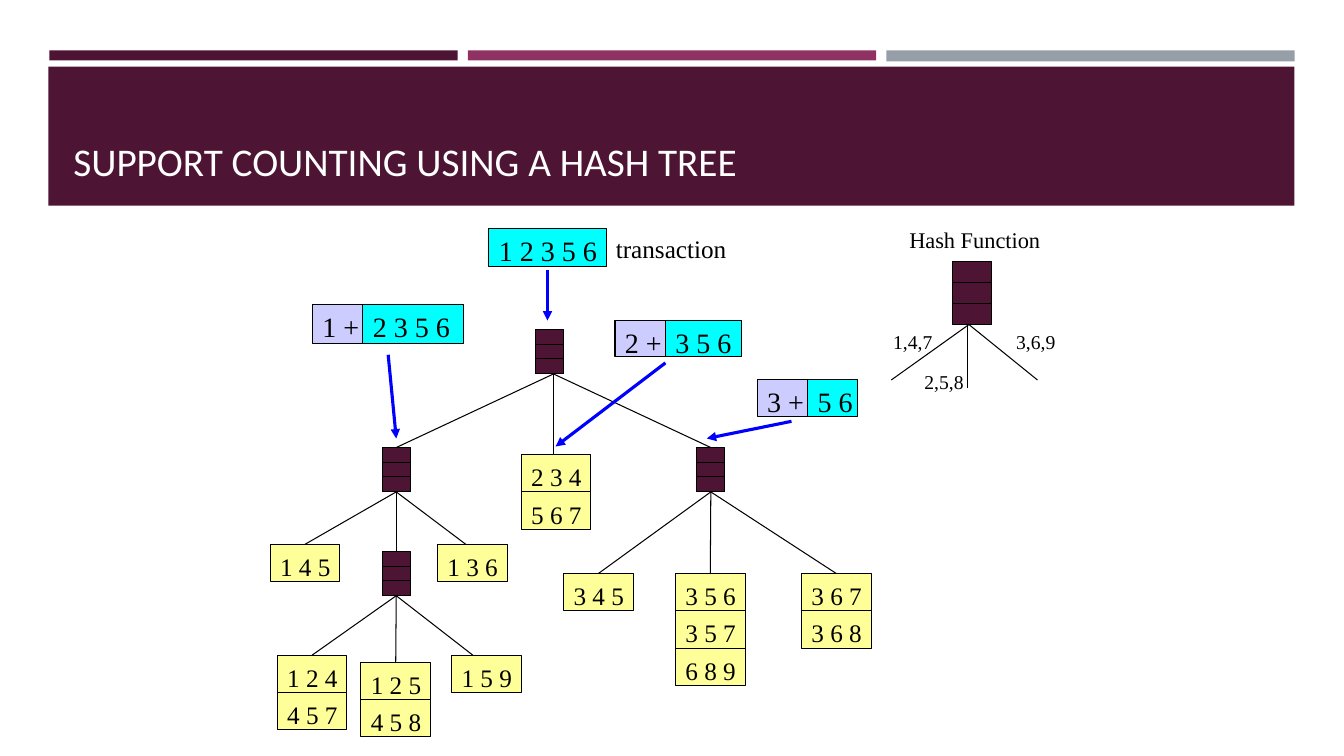
from dataclasses import dataclass

import lxml.etree
import pptx
import pptx.dml.color
import pptx.enum.shapes
import pptx.enum.text
import pptx.oxml.ns
import pptx.util

PX = 9144  # EMU per px, 100 px to the inch
JOIN_REACH = 2  # a line end this close to a side's middle is joined to it
TOP, BOTTOM = 0, 2


@dataclass(frozen=True)
class Theme:
    plum: str = "4D1434"
    berry: str = "903163"
    steel: str = "969FA7"
    white: str = "FFFFFF"
    black: str = "000000"
    blue: str = "0000FF"
    cyan: str = "00FFFF"
    lilac: str = "CCCCFF"
    yellow: str = "FFFF99"
    heading_font: str = "Calibri"
    body_font: str = "Times New Roman"
    heading: int = 28
    transaction: int = 20
    itemset: int = 18
    caption: int = 16
    branch: int = 14
    thin: float = 0.75
    thick: float = 2.25


@dataclass(frozen=True)
class Box:
    x: int
    y: int
    width: int
    height: int


@dataclass(frozen=True)
class Leaf:
    x: int
    y: int
    itemsets: tuple[str, ...]


@dataclass(frozen=True)
class Line:
    x1: int
    y1: int
    x2: int
    y2: int


@dataclass(frozen=True)
class Edge:
    parent: str
    child: str
    line: Line


@dataclass(frozen=True)
class Label:
    text: str
    box: Box
    size: int


@dataclass(frozen=True)
class Part:
    text: str
    box: Box
    fill: str
    text_width: int


THEME = Theme()

BANDS = [
    (Box(49, 50, 405, 10), THEME.plum),
    (Box(464, 50, 405, 10), THEME.berry),
    (Box(879, 50, 405, 11), THEME.steel),
    (Box(48, 66, 1236, 138), THEME.plum),
]
NODES = {
    "root": Box(531, 327, 28, 44),
    "left": Box(379, 444, 28, 44),
    "right": Box(691, 444, 28, 44),
    "inner": Box(379, 547, 28, 44),
    "hash": Box(945, 259, 38, 63),
}
LEAVES = [
    Leaf(268, 540, ("1 4 5",)),
    Leaf(434, 540, ("1 3 6",)),
    Leaf(275, 650, ("1 2 4", "4 5 7")),
    Leaf(358, 657, ("1 2 5", "4 5 8")),
    Leaf(448, 650, ("1 5 9",)),
    Leaf(517, 451, ("2 3 4", "5 6 7")),
    Leaf(559, 569, ("3 4 5",)),
    Leaf(670, 569, ("3 5 6", "3 5 7", "6 8 9")),
    Leaf(795, 569, ("3 6 7", "3 6 8")),
]
LEAF_WIDTH, LEAF_HEIGHT = 69, 37
EDGES = [
    Edge("root", "left", Line(549, 371, 393, 444)),
    Edge("root", "2 3 4", Line(549, 371, 549, 451)),
    Edge("root", "right", Line(549, 371, 705, 444)),
    Edge("left", "1 4 5", Line(391, 488, 303, 540)),
    Edge("left", "inner", Line(391, 488, 391, 547)),
    Edge("left", "1 3 6", Line(391, 488, 462, 540)),
    Edge("right", "3 4 5", Line(705, 488, 594, 569)),
    Edge("right", "3 5 6", Line(705, 488, 705, 569)),
    Edge("right", "3 6 7", Line(705, 488, 829, 569)),
    Edge("inner", "1 2 4", Line(393, 591, 310, 650)),
    Edge("inner", "1 2 5", Line(393, 591, 393, 657)),
    Edge("inner", "1 5 9", Line(393, 591, 469, 650)),
]
HASH_BRANCHES = [Line(961, 322, 884, 377), Line(960, 322, 960, 385), Line(961, 322, 1029, 377)]
ARROWS = [
    Line(543, 268, 543, 318),
    Line(385, 352, 393, 435),
    Line(660, 360, 551, 443),
    Line(785, 418, 701, 435),
]
PARTS = [
    Part("1 2 3 5 6", Box(485, 227, 117, 37), THEME.cyan, 117),
    Part("1 +", Box(310, 302, 50, 39), THEME.lilac, 57),
    Part("2 3 5 6", Box(360, 302, 100, 39), THEME.cyan, 96),
    Part("2 +", Box(610, 318, 50, 36), THEME.lilac, 57),
    Part("3 5 6", Box(660, 318, 75, 36), THEME.cyan, 76),
    Part("3 +", Box(751, 377, 50, 36), THEME.lilac, 57),
    Part("5 6", Box(801, 377, 50, 36), THEME.cyan, 55),
]
LABELS = [
    Label("transaction", Box(601, 227, 130, 40), THEME.itemset),
    Label("Hash Function", Box(892, 219, 151, 37), THEME.caption),
    Label("1,4,7", Box(876, 322, 59, 34), THEME.branch),
    Label("2,5,8", Box(907, 362, 59, 34), THEME.branch),
    Label("3,6,9", Box(998, 322, 59, 34), THEME.branch),
]


def color(value: str) -> pptx.dml.color.RGBColor:
    return pptx.dml.color.RGBColor.from_string(value)


def add_box(slide, box: Box, fill: str, outlined: bool = True):
    shape = slide.shapes.add_shape(
        pptx.enum.shapes.MSO_SHAPE.RECTANGLE,
        box.x * PX, box.y * PX, box.width * PX, box.height * PX)
    shape.shadow.inherit = False
    shape.fill.solid()
    shape.fill.fore_color.rgb = color(fill)
    if outlined:
        shape.line.color.rgb = color(THEME.black)
        shape.line.width = pptx.util.Pt(THEME.thin)
    else:
        shape.line.fill.background()
    return shape


def add_text(slide, label: Label, font: str = THEME.body_font, ink: str = THEME.black):
    box = label.box
    shape = slide.shapes.add_textbox(box.x * PX, box.y * PX, box.width * PX, box.height * PX)
    shape.text_frame.word_wrap = False
    shape.text_frame.margin_right = 0  # keeps tight labels on one line
    run = shape.text_frame.paragraphs[0].add_run()
    run.text = label.text
    run.font.name = font
    run.font.size = pptx.util.Pt(label.size)
    run.font.color.rgb = color(ink)
    return shape


def add_line(slide, line: Line, ink: str = THEME.black, width: float = THEME.thin):
    connector = slide.shapes.add_connector(
        pptx.enum.shapes.MSO_CONNECTOR.STRAIGHT,
        line.x1 * PX, line.y1 * PX, line.x2 * PX, line.y2 * PX)
    connector.line.color.rgb = color(ink)
    connector.line.width = pptx.util.Pt(width)
    properties = connector._element.spPr
    lxml.etree.SubElement(properties, pptx.oxml.ns.qn("a:effectLst"))
    return connector


def add_arrow(slide, line: Line) -> None:
    connector = add_line(slide, line, THEME.blue, THEME.thick)
    outline = connector.line._get_or_add_ln()
    lxml.etree.SubElement(outline, pptx.oxml.ns.qn("a:tailEnd"), type="triangle")


def add_node(slide, box: Box):
    shape = add_box(slide, box, THEME.plum)
    for third in (1, 2):
        y = box.y + round(box.height * third / 3)
        add_line(slide, Line(box.x, y, box.x + box.width, y))
    return shape


def add_leaf(slide, leaf: Leaf) -> dict:
    shapes = {}
    for row, itemset in enumerate(leaf.itemsets):
        y = leaf.y + row * LEAF_HEIGHT
        shapes[itemset] = add_box(slide, Box(leaf.x, y, LEAF_WIDTH, LEAF_HEIGHT), THEME.yellow)
        add_text(slide, Label(itemset, Box(leaf.x, y + 2, 70, 40), THEME.itemset))
    return shapes


def is_middle(shape, x: int) -> bool:
    return abs(shape.left + shape.width / 2 - x * PX) <= JOIN_REACH * PX


def add_edge(slide, edge: Edge, shapes: dict) -> None:
    connector = add_line(slide, edge.line)
    if is_middle(shapes[edge.parent], edge.line.x1):
        connector.begin_connect(shapes[edge.parent], BOTTOM)
    if is_middle(shapes[edge.child], edge.line.x2):
        connector.end_connect(shapes[edge.child], TOP)


def main() -> None:
    presentation = pptx.Presentation()
    presentation.slide_width, presentation.slide_height = 1333 * PX, 750 * PX
    slide = presentation.slides.add_slide(presentation.slide_layouts[6])

    # Header
    for box, fill in BANDS:
        add_box(slide, box, fill, outlined=False)
    title = Label("SUPPORT COUNTING USING A HASH TREE", Box(63, 80, 1206, 108), THEME.heading)
    heading = add_text(slide, title, THEME.heading_font, THEME.white)
    heading.text_frame.word_wrap = True
    heading.text_frame.vertical_anchor = pptx.enum.text.MSO_ANCHOR.BOTTOM

    # Hash tree
    shapes = {name: add_node(slide, box) for name, box in NODES.items()}
    for leaf in LEAVES:
        shapes.update(add_leaf(slide, leaf))
    for edge in EDGES:
        add_edge(slide, edge, shapes)

    # Transaction and its prefixes
    for part in PARTS:
        add_box(slide, part.box, part.fill)
        text_box = Box(part.box.x, part.box.y, part.text_width, 43)
        add_text(slide, Label(part.text, text_box, THEME.transaction))
    for arrow in ARROWS:
        add_arrow(slide, arrow)

    # Hash function and captions
    for branch in HASH_BRANCHES:
        add_line(slide, branch)
    for label in LABELS:
        add_text(slide, label)

    presentation.save("out.pptx")


if __name__ == "__main__":
    main()
